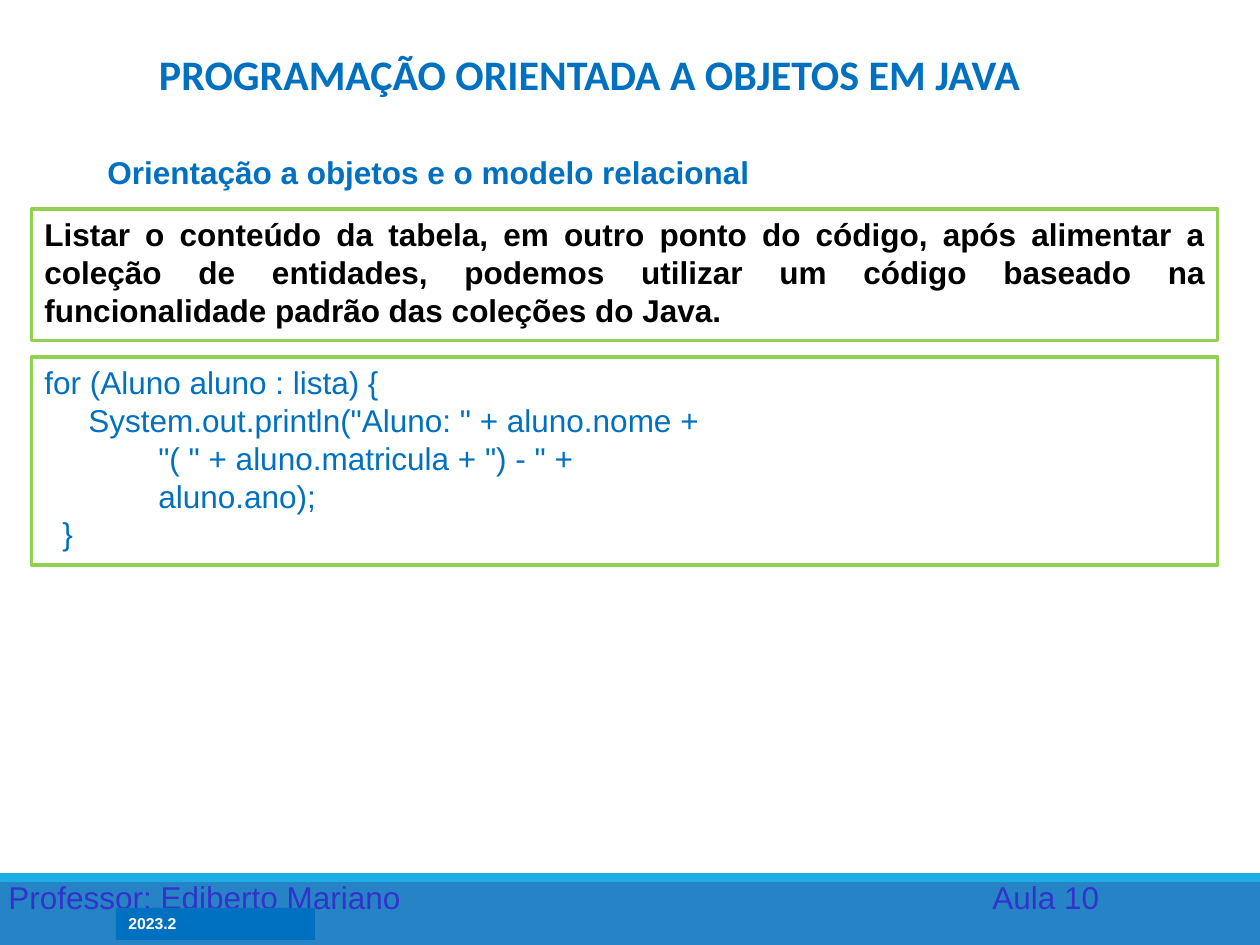
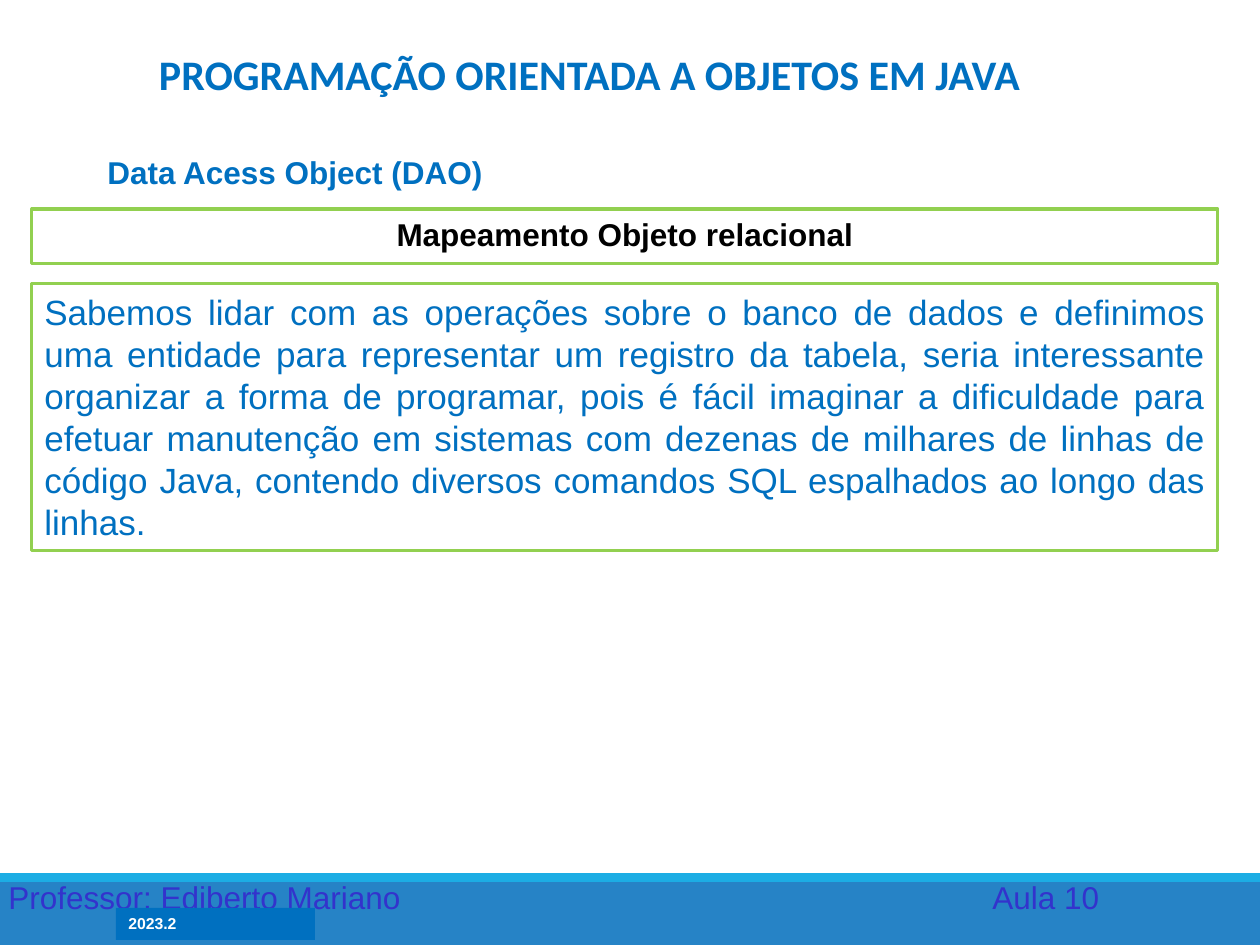
"""Builds two lesson slides on object orientation and the relational model."""
import pptx
import pptx.dml.color
import pptx.enum.shapes
import pptx.enum.text
import pptx.util

HUES = {
    "white": "FFFFFF",
    "black": "000000",
    "blue": "0070C0",
    "band": "2683C6",
    "strip": "1CADE4",
    "green": "92D050",
    "violet": "3333CC",
}
SCALE = 914400 / 126
WIDE, HIGH = 1260, 945
LEFT, SPAN = 32, 1186
ALIGN = pptx.enum.text.PP_ALIGN
ANCHOR = pptx.enum.text.MSO_ANCHOR

CODE = [
    ("for (Aluno aluno : lista) {", 0),
    ('System.out.println("Aluno: " + aluno.nome +', 44),
    ('"( " + aluno.matricula + ") - " +', 114),
    ("aluno.ano);", 114),
    ("}", 18),
]
INTRO = (
    "Listar o conteúdo da tabela, em outro ponto do código, após alimentar a "
    "coleção de entidades, podemos utilizar um código baseado na "
    "funcionalidade padrão das coleções do Java."
)
BODY = (
    "Sabemos lidar com as operações sobre o banco de dados e definimos uma "
    "entidade para representar um registro da tabela, seria interessante "
    "organizar a forma de programar, pois é fácil imaginar a dificuldade para "
    "efetuar manutenção em sistemas com dezenas de milhares de linhas de "
    "código Java, contendo diversos comandos SQL espalhados ao longo das linhas."
)


def px(size):
    return pptx.util.Emu(round(size * SCALE))


def tint(name):
    return pptx.dml.color.RGBColor.from_string(HUES[name])


def rect(slide, area, fill, line=None, weight=1.75):
    kind = pptx.enum.shapes.MSO_SHAPE.RECTANGLE
    shape = slide.shapes.add_shape(kind, *map(px, area))
    shape.shadow.inherit = False
    shape.fill.solid()
    shape.fill.fore_color.rgb = tint(fill)
    if line:
        shape.line.color.rgb = tint(line)
        shape.line.width = pptx.util.Pt(weight)
    else:
        shape.line.fill.background()
    return shape


def label(slide, area):
    return slide.shapes.add_textbox(*map(px, area))


def write(shape, lines, size, hue, bold=False, align=ALIGN.LEFT,
          face="Arial", anchor=ANCHOR.TOP):
    frame = shape.text_frame
    frame.word_wrap = True
    frame.vertical_anchor = anchor
    for row, (text, indent) in enumerate(lines):
        para = frame.add_paragraph() if row else frame.paragraphs[0]
        para.alignment = align
        if indent:
            para._p.get_or_add_pPr().set("marL", str(px(indent)))
        run = para.add_run()
        run.text = text
        run.font.size = pptx.util.Pt(size)
        run.font.name = face
        run.font.bold = bold
        run.font.color.rgb = tint(hue)


def footer(slide):
    rect(slide, (0, 873, WIDE, 72), "band")
    rect(slide, (0, 873, WIDE, 9), "strip")
    for text, left, width in (("Professor: Ediberto Mariano", -4, 600),
                              ("Aula 10", 980, 150)):
        write(label(slide, (left, 872, width, 50)), [(text, 0)], 18, "violet")
    term = rect(slide, (116, 908, 199, 32), "blue")
    write(term, [("2023.2", 0)], 9, "white", bold=True)


def header(slide, topic):
    write(label(slide, (130, 39, 919, 66)),
          [("PROGRAMAÇÃO ORIENTADA A OBJETOS EM JAVA", 0)], 24, "blue",
          bold=True, align=ALIGN.CENTER, face="Calibri",
          anchor=ANCHOR.BOTTOM)
    strip = rect(slide, (95, 147, 1092, 52), "white", "white", 0.75)
    write(strip, [(topic, 0)], 18, "blue", bold=True, align=ALIGN.JUSTIFY)


def panel(slide, top, height, lines, size, hue, **style):
    shape = rect(slide, (LEFT, top, SPAN, height), "white", "green")
    write(shape, lines, size, hue, **style)


def page(deck, topic):
    slide = deck.slides.add_slide(deck.slide_layouts[6])
    footer(slide)
    header(slide, topic)
    return slide


def main():
    deck = pptx.Presentation()
    deck.slide_width, deck.slide_height = px(WIDE), px(HIGH)

    slide = page(deck, "Orientação a objetos e o modelo relacional")
    panel(slide, 209, 132, [(INTRO, 0)], 18, "black", bold=True,
          align=ALIGN.JUSTIFY)
    panel(slide, 357, 208, CODE, 18, "blue")

    slide = page(deck, "Data Acess Object (DAO)")
    panel(slide, 209, 55, [("Mapeamento Objeto relacional", 0)], 18, "black",
          bold=True, align=ALIGN.CENTER)
    panel(slide, 284, 267, [(BODY, 0)], 20, "blue", align=ALIGN.JUSTIFY)

    deck.save("out.pptx")


if __name__ == "__main__":
    main()
